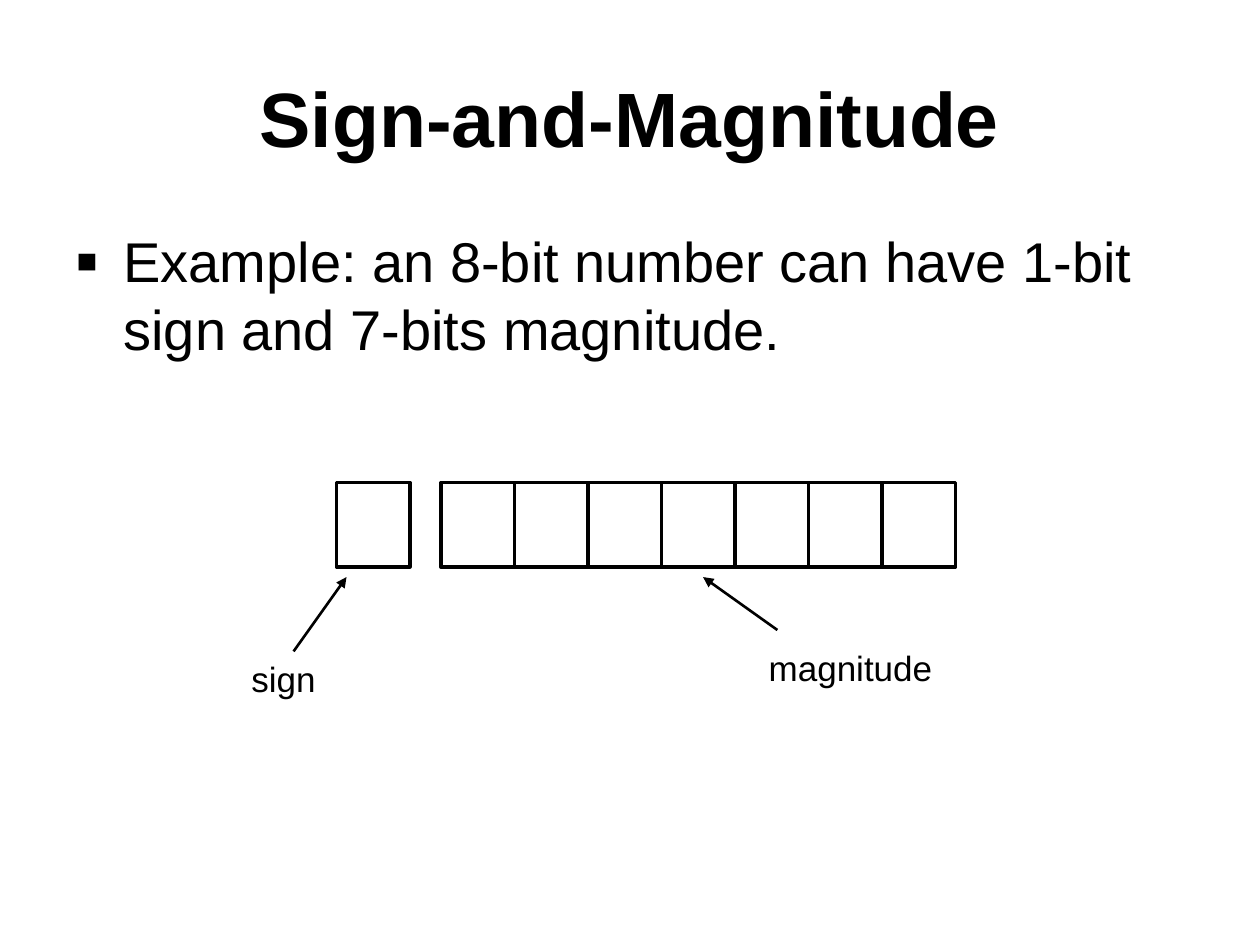
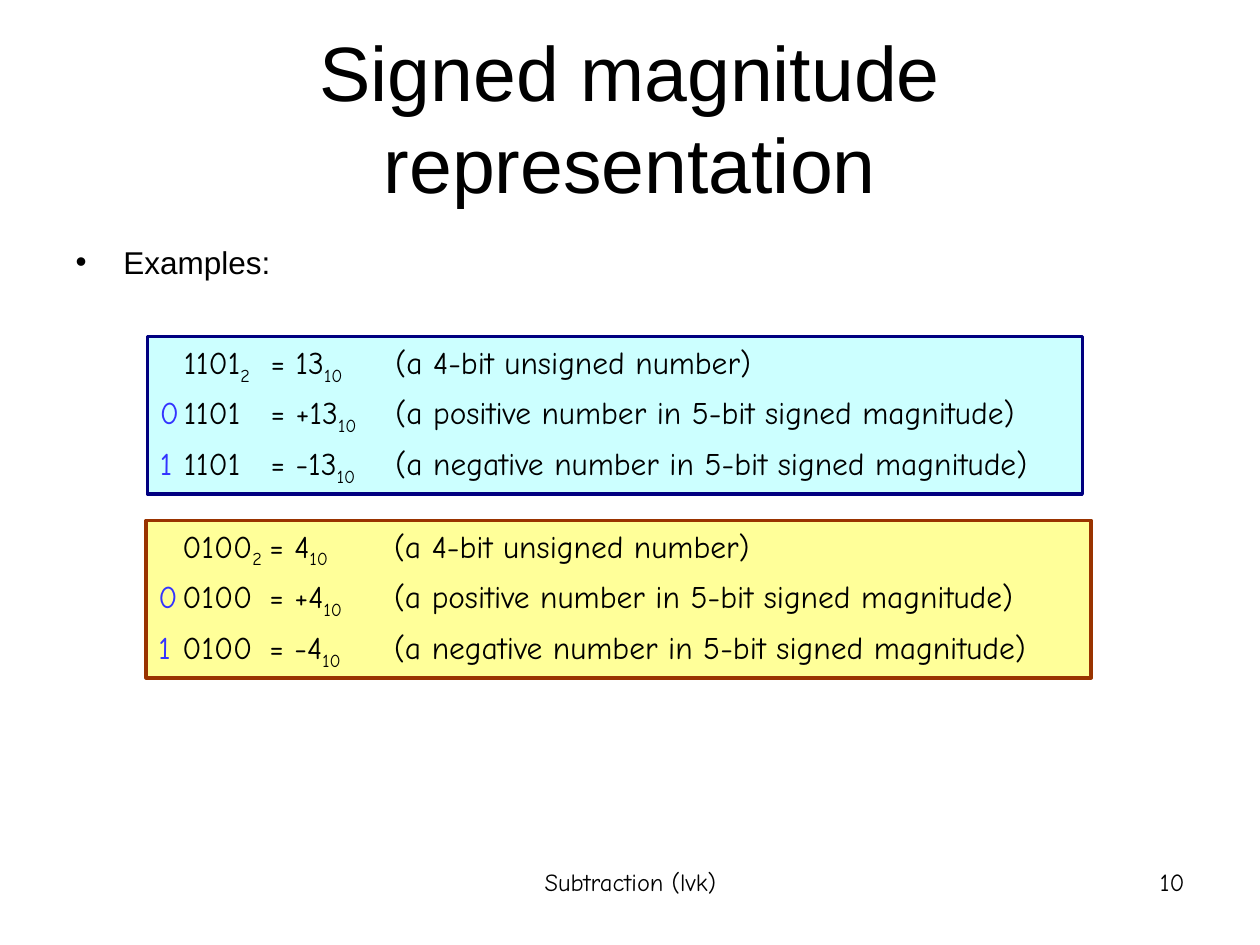
from lxml import etree
from pptx import Presentation
from pptx.dml.color import RGBColor
from pptx.enum import shapes, text
from pptx.oxml import ns
from pptx.util import Inches, Pt

COLORS = {
    "ink": "000000",
    "sign_bit": "3333FF",
    "cyan": "CCFFFF",
    "navy": "000080",
    "yellow": "FFFF99",
    "brown": "993300",
}
RGB = {name: RGBColor.from_string(value) for name, value in COLORS.items()}
SANS, COMIC = "Arial", "Comic Neue"
LEFT, CENTER, RIGHT = text.PP_ALIGN.LEFT, text.PP_ALIGN.CENTER, text.PP_ALIGN.RIGHT


def add_child(parent, tag, **attributes):
    child = etree.SubElement(parent, ns.qn(tag))
    for key, value in attributes.items():
        child.set(key, str(value))
    return child


def style(paragraph, size, font=SANS, align=LEFT, bold=False):
    paragraph.alignment = align
    paragraph.font.name = font
    paragraph.font.size = Pt(size)
    paragraph.font.bold = bold
    paragraph.font.color.rgb = RGB["ink"]


deck = Presentation()
deck.slide_width, deck.slide_height = Inches(10), Inches(7.5)

# Title and bulleted line of both slides
pages = [
    # title, bold, bullet text, size, space before, bullet, bullet %, top, height
    ("Sign-and-Magnitude", True,
     "Example: an 8-bit number can have 1-bit sign and 7-bits magnitude.",
     32, 8, "\u25aa", 120, 1.75, 1.75),
    ("Signed magnitude representation", False,
     "Examples:", 18, 4.5, "\u2022", 100, 1.88, 4.95),
]
for heading, bold, line, size, before, bullet, percent, top, height in pages:
    slide = deck.slides.add_slide(deck.slide_layouts[1])
    title, body = slide.placeholders
    title.left, title.top = Inches(0.5), Inches(0.3)
    title.width, title.height = Inches(9), Inches(1.25)
    body.left, body.top = Inches(0.5), Inches(top)
    body.width, body.height = Inches(9), Inches(height)
    for holder, words in ((title, heading), (body, line)):
        holder.text_frame.text = words
        holder.text_frame.auto_size = text.MSO_AUTO_SIZE.NONE
    title.text_frame.vertical_anchor = text.MSO_ANCHOR.MIDDLE
    style(title.text_frame.paragraphs[0], 44, align=CENTER, bold=bold)

    item = body.text_frame.paragraphs[0]
    item.space_before = Pt(before)
    props = item._p.get_or_add_pPr()
    props.set("marL", str(Inches(0.38)))
    props.set("indent", str(-Inches(0.38)))
    add_child(props, "a:buSzPct", val=percent * 1000)
    add_child(props, "a:buFont", typeface=SANS)
    add_child(props, "a:buChar", char=bullet)
    style(item, size)

bits_slide, examples_slide = deck.slides

# Slide 1: one sign bit, a gap, then seven magnitude bits
bit_width = 7 / 12
bit_lefts = [2.67] + [3.5 + i * bit_width for i in range(7)]
for left in bit_lefts:
    bit = bits_slide.shapes.add_shape(
        shapes.MSO_SHAPE.RECTANGLE,
        Inches(left), Inches(3.83), Inches(bit_width), Inches(0.67))
    bit.shadow.inherit = False
    bit.fill.background()
    bit.line.color.rgb = RGB["ink"]
    bit.line.width = Pt(2)

# Arrows from the labels to the bits
for start_x, start_y, end_x in ((2.33, 5.17, 2.75), (6.17, 5, 5.58)):
    arrow = bits_slide.shapes.add_connector(
        shapes.MSO_CONNECTOR.STRAIGHT,
        Inches(start_x), Inches(start_y), Inches(end_x), Inches(4.58))
    arrow.line.color.rgb = RGB["ink"]
    arrow.line.width = Pt(1.5)
    add_child(arrow.line._get_or_add_ln(), "a:tailEnd", type="triangle")
    add_child(arrow._element.spPr, "a:effectLst")

# Labels of the bits, footer and page number
captions = [
    (bits_slide, "sign", 1.75, 5.17, 1, 0.44, 20, SANS, CENTER),
    (bits_slide, "magnitude", 6, 5.08, 1.5, 0.44, 20, SANS, CENTER),
    (examples_slide, "Subtraction (lvk)", 3.42, 6.83, 3.17, 0.52, 14, COMIC, CENTER),
    (examples_slide, "10", 7.17, 6.83, 2.33, 0.52, 14, COMIC, RIGHT),
]
for slide, words, left, top, width, height, size, font, align in captions:
    caption = slide.shapes.add_textbox(
        Inches(left), Inches(top), Inches(width), Inches(height))
    caption.text_frame.word_wrap = True
    caption.text_frame.text = words
    style(caption.text_frame.paragraphs[0], size, font, align)

# Slide 2: each panel shows one number unsigned, positive and negative
panels = [
    # bits, value, left, top, width, fill, line
    ("1101", "13", 1.17, 2.67, 7.42, "cyan", "navy"),
    ("0100", "4", 1.16, 4.13, 7.5, "yellow", "brown"),
]
readings = [
    # sign bit, base mark, sign, meaning
    ("", "2", "", "(a 4-bit unsigned number)"),
    ("0", "", "+", "(a positive number in 5-bit signed magnitude)"),
    ("1", "", "-", "(a negative number in 5-bit signed magnitude)"),
]
for bits, value, left, top, width, fill, border in panels:
    panel = examples_slide.shapes.add_shape(
        shapes.MSO_SHAPE.RECTANGLE,
        Inches(left), Inches(top), Inches(width), Inches(1.25))
    panel.shadow.inherit = False
    panel.fill.solid()
    panel.fill.fore_color.rgb = RGB[fill]
    panel.line.color.rgb = RGB[border]
    panel.line.width = Pt(2)
    frame = panel.text_frame
    frame.word_wrap = True
    frame.vertical_anchor = text.MSO_ANCHOR.TOP

    for row, (sign_bit, base, sign, meaning) in enumerate(readings):
        reading = frame.add_paragraph() if row else frame.paragraphs[0]
        reading.space_before = Pt(4.5 if row else 0)
        tabs = add_child(reading._p.get_or_add_pPr(), "a:tabLst")
        for stop in (0.19, 0.88, 1.87):
            add_child(tabs, "a:tab", pos=Inches(stop), algn="l")
        style(reading, 18, COMIC)
        pieces = [
            (sign_bit + "\t", "sign_bit", False),
            (bits, "ink", False),
            (base + "\t", "ink", bool(base)),
            (f"= {sign}{value}", "ink", False),
            ("10\t", "ink", True),
            (meaning, "ink", False),
        ]
        for words, color, subscript in pieces:
            run = reading.add_run()
            run.text = words
            run.font.color.rgb = RGB[color]
            if subscript:
                run._r.get_or_add_rPr().set("baseline", "-25000")

deck.save("out.pptx")
